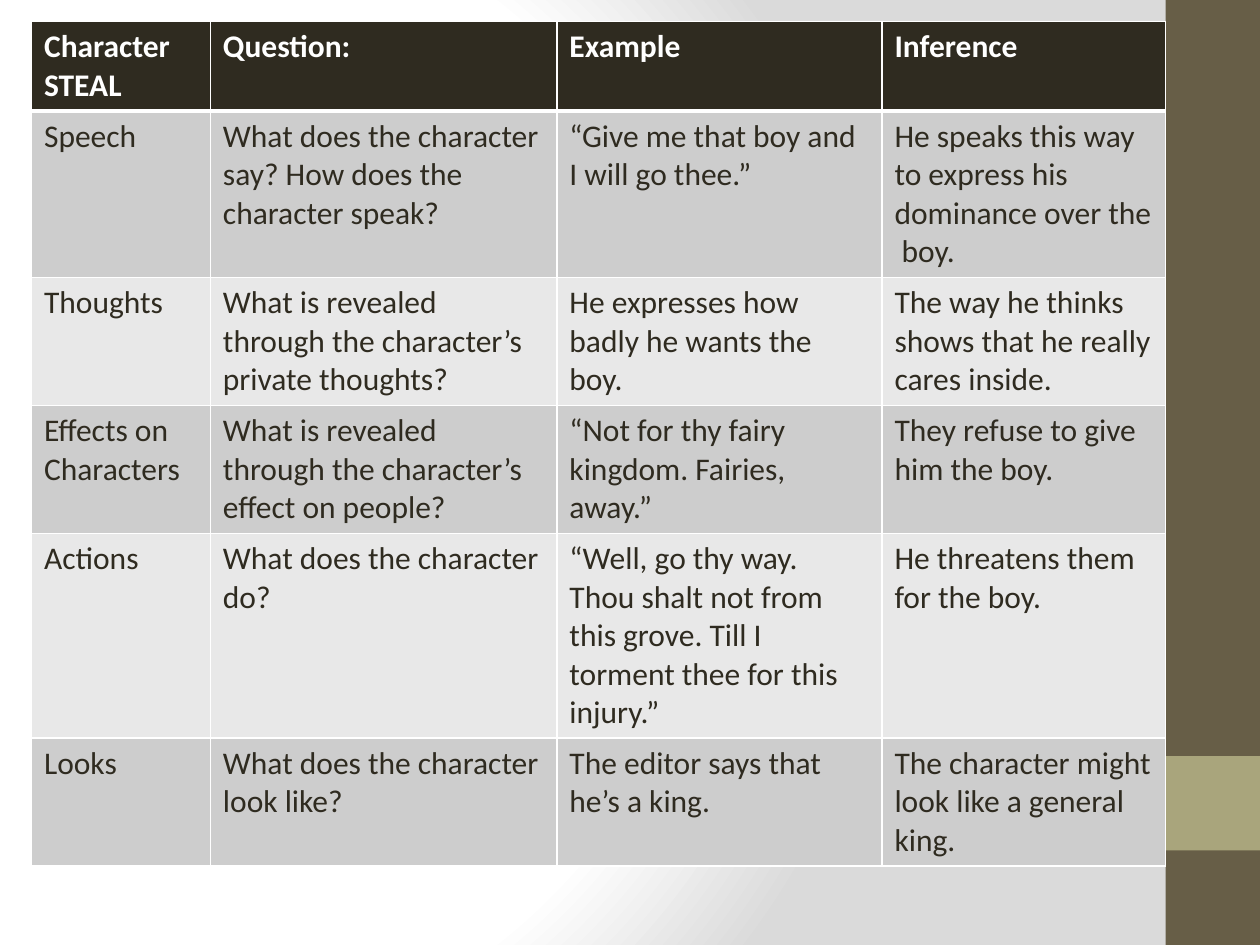
from lxml import etree
from pptx import Presentation
from pptx.dml.color import RGBColor
from pptx.enum.shapes import MSO_SHAPE as Shape
from pptx.oxml import parse_xml
from pptx.oxml.ns import nsdecls, qn
from pptx.util import Inches, Pt

# Content
ROWS = [
    ("Character STEAL", "Question:", "Example", "Inference"),
    ("Speech", "What does the character say? How does the character speak?",
     "“Give me that boy and I will go thee.”",
     "He speaks this way to express his dominance over the  boy."),
    ("Thoughts", "What is revealed through the character’s private thoughts?",
     "He expresses how badly he wants the boy.",
     "The way he thinks shows that he really cares inside."),
    ("Effects on Characters",
     "What is revealed through the character’s effect on people?",
     "“Not for thy fairy kingdom. Fairies, away.”",
     "They refuse to give him the boy."),
    ("Actions", "What does the character do?",
     "“Well, go thy way. Thou shalt not from this grove. "
     "Till I torment thee for this injury.”",
     "He threatens them for the boy."),
    ("Looks", "What does the character look like?",
     "The editor says that he’s a king.",
     "The character might look like a general king."),
]
LINES_PER_ROW = [2, 4, 3, 3, 5, 3]
COLUMN_WIDTHS = [1.42, 2.75, 2.58, 2.25]
LINE_HEIGHT, CELL_PADDING = 0.3, 0.1
COLORS = {
    "white": "FFFFFF", "gray": "DADADA", "dark": "2F2B20",
    "band_odd": "CDCDCD", "band_even": "E8E8E8",
    "sidebar": "675E47", "accent": "A9A57C",
}
SIDEBAR = [("sidebar", 0, 7.5), ("accent", 6, 0.75)]  # color, top, height
BACKGROUND_STOPS = [(0, "white"), (75, "white"), (100, "gray")]


def rgb(name):
    return RGBColor.from_string(COLORS[name])


def set_background(slide):
    stops = "".join(
        f'<a:gs pos="{position * 1000}"><a:srgbClr val="{COLORS[name]}"/></a:gs>'
        for position, name in BACKGROUND_STOPS)
    gradient = parse_xml(
        f'<a:gradFill rotWithShape="1" {nsdecls("a")}><a:gsLst>{stops}</a:gsLst>'
        '<a:path path="circle"><a:fillToRect l="20000" t="50000" r="100000" '
        'b="50000"/></a:path></a:gradFill>')
    fill = slide.background.fill
    fill.gradient()
    properties = slide.element.find(".//" + qn("p:bgPr"))
    properties.replace(properties.find(qn("a:gradFill")), gradient)


def set_borders(cell, bottom_width):
    properties = cell._tc.get_or_add_tcPr()
    widths = {"lnL": 1, "lnR": 1, "lnT": 1, "lnB": bottom_width}
    for index, (side, width) in enumerate(widths.items()):
        line = etree.Element(qn(f"a:{side}"), w=str(Pt(width)))
        fill = etree.SubElement(line, qn("a:solidFill"))
        etree.SubElement(fill, qn("a:srgbClr"), val=COLORS["white"])
        properties.insert(index, line)


def fill_cell(cell, text, row):
    header = row == 0
    band = "band_odd" if row % 2 else "band_even"
    cell.text = text
    cell.fill.solid()
    cell.fill.fore_color.rgb = rgb("dark" if header else band)
    font = cell.text_frame.paragraphs[0].runs[0].font
    for name, value in {"name": "Calibri", "size": Pt(18), "bold": header}.items():
        setattr(font, name, value)
    font.color.rgb = rgb("white" if header else "dark")
    # The header's lower rule is thick, and the row below shares it
    set_borders(cell, 3 if header else 1)
    if row == 1:
        cell._tc.tcPr.find(qn("a:lnT")).set("w", str(Pt(3)))


def main():
    presentation = Presentation()
    presentation.slide_width, presentation.slide_height = Inches(10), Inches(7.5)
    slide = presentation.slides.add_slide(presentation.slide_layouts[6])
    set_background(slide)

    # Sidebar
    for color, top, height in SIDEBAR:
        bar = slide.shapes.add_shape(Shape.RECTANGLE, Inches(9.25), Inches(top),
                                     Inches(0.75), Inches(height))
        bar.shadow.inherit = False
        bar.fill.solid()
        bar.fill.fore_color.rgb = rgb(color)
        bar.line.fill.background()

    # Table
    heights = [CELL_PADDING + LINE_HEIGHT * lines for lines in LINES_PER_ROW]
    table = slide.shapes.add_table(
        len(ROWS), len(COLUMN_WIDTHS), Inches(0.25), Inches(0.17),
        Inches(sum(COLUMN_WIDTHS)), Inches(sum(heights))).table
    for column, width in zip(table.columns, COLUMN_WIDTHS):
        column.width = Inches(width)
    for row, (texts, height) in enumerate(zip(ROWS, heights)):
        table.rows[row].height = Inches(height)
        for column, text in enumerate(texts):
            fill_cell(table.cell(row, column), text, row)

    presentation.save("out.pptx")


if __name__ == "__main__":
    main()
